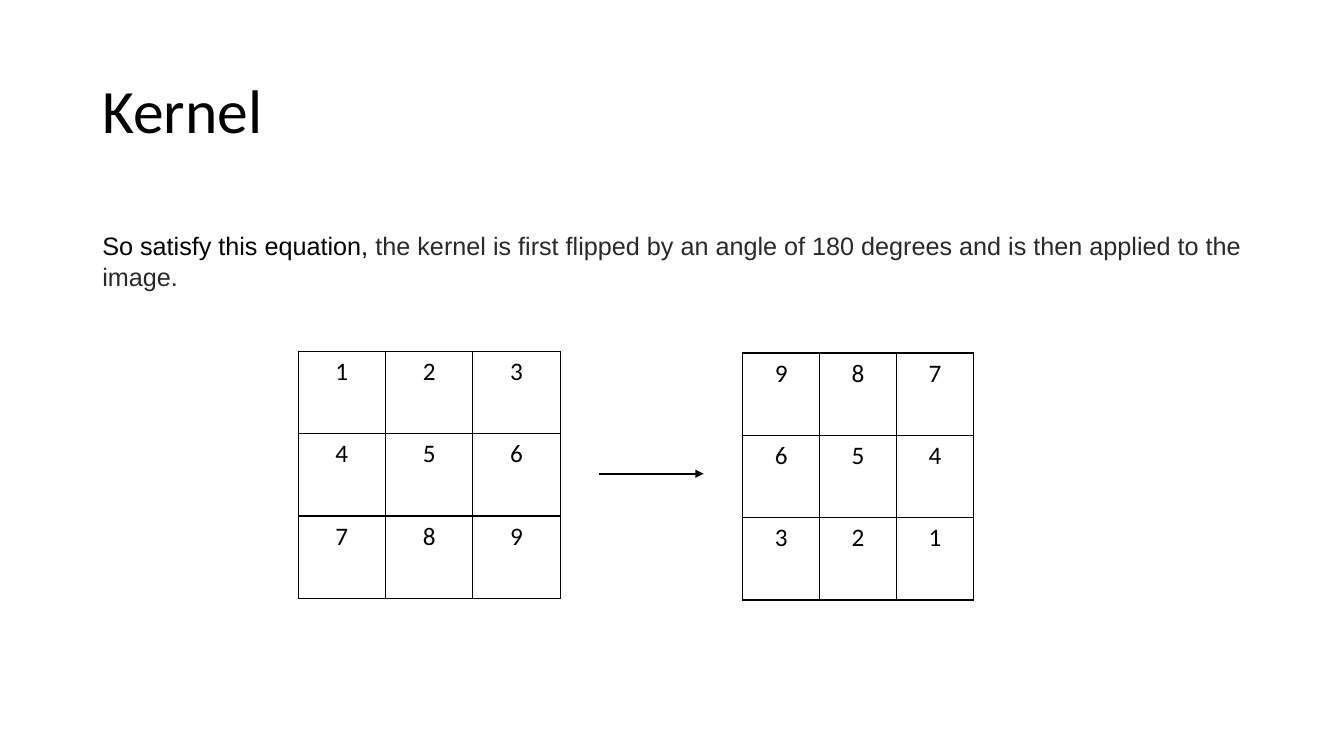
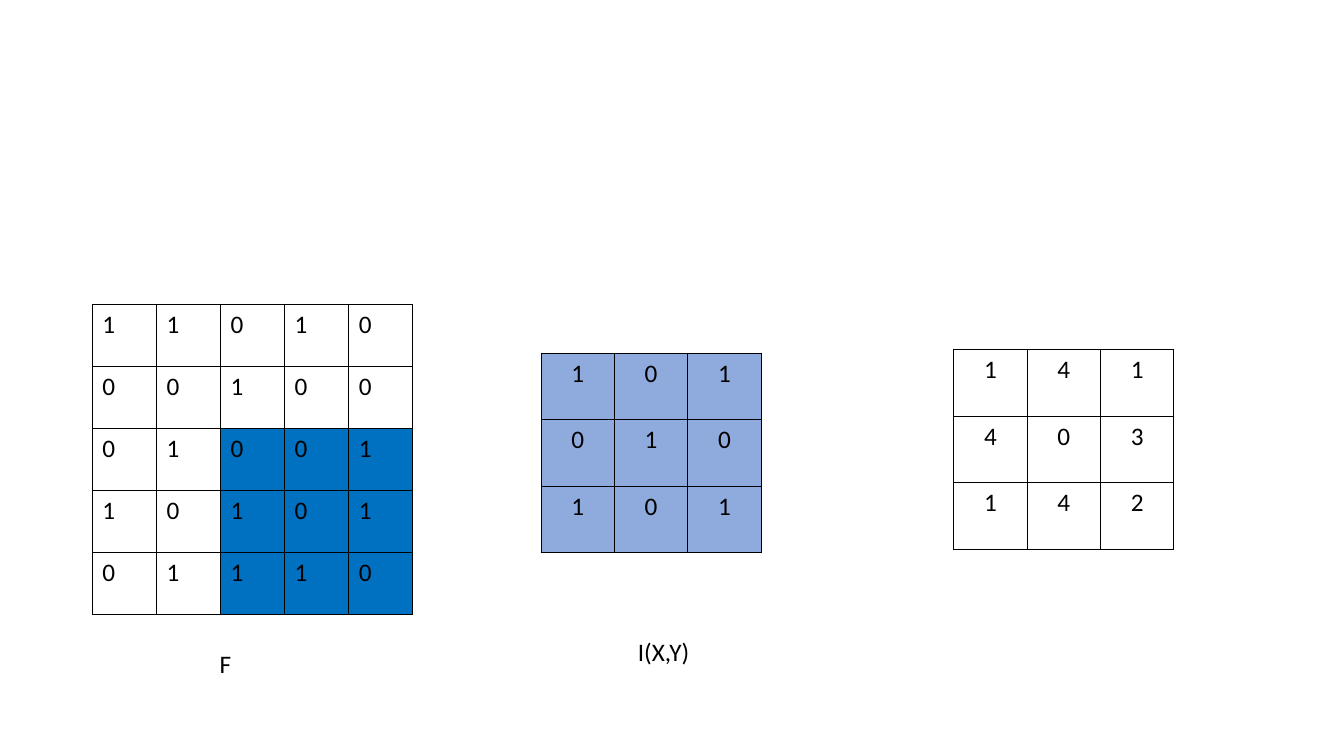
from dataclasses import dataclass

from lxml import etree
from pptx import Presentation
from pptx.dml.color import RGBColor
from pptx.enum.shapes import MSO_CONNECTOR
from pptx.enum.text import MSO_ANCHOR, MSO_AUTO_SIZE, PP_ALIGN
from pptx.oxml.ns import qn
from pptx.util import Pt

LEFT, CENTER = PP_ALIGN.LEFT, PP_ALIGN.CENTER
MIDDLE = MSO_ANCHOR.MIDDLE
NO_AUTOFIT = MSO_AUTO_SIZE.NONE
STRAIGHT = MSO_CONNECTOR.STRAIGHT
TITLE_ONLY, BLANK = 5, 6


@dataclass(frozen=True)
class Theme:
    ink: str = "000000"
    soft_ink: str = "292929"
    window: str = "0070C0"
    kernel: str = "8FAADC"
    font: str = "Calibri"
    prose_font: str = "Arial"
    title_size: float = 44
    text_size: float = 18
    border: float = 1
    arrow: float = 1.5


class Deck:
    def __init__(self, theme):
        self.theme = theme
        self.prs = Presentation()
        self.prs.slide_width, self.prs.slide_height = Pt(960), Pt(540)
        self.slide = None

    def new_slide(self, layout):
        self.slide = self.prs.slides.add_slide(self.prs.slide_layouts[layout])

    def style(self, paragraph, font=None, size=None, align=LEFT):
        paragraph.alignment = align
        paragraph.font.name = font or self.theme.font
        paragraph.font.size = Pt(size or self.theme.text_size)
        paragraph.font.color.rgb = RGBColor.from_string(self.theme.ink)

    def title(self, text):
        heading = self.slide.shapes.title
        heading.left, heading.top = Pt(66), Pt(28.8)
        heading.width, heading.height = Pt(828), Pt(104.4)
        frame = heading.text_frame
        frame.text = text
        frame.auto_size = NO_AUTOFIT
        frame.vertical_anchor = MIDDLE
        self.style(frame.paragraphs[0], size=self.theme.title_size)
        frame.paragraphs[0].line_spacing = 0.9

    def text(self, left, top, width, height, runs, font=None, wrap=True):
        """Add one paragraph; runs are (wording, colour) pairs."""
        box = self.slide.shapes.add_textbox(Pt(left), Pt(top), Pt(width), Pt(height))
        box.text_frame.word_wrap = wrap
        paragraph = box.text_frame.paragraphs[0]
        self.style(paragraph, font)
        for wording, colour in runs:
            run = paragraph.add_run()
            run.text = wording
            run.font.color.rgb = RGBColor.from_string(colour)

    def caption(self, left, top, width, wording):
        self.text(left, top, width, 28.8, [(wording, self.theme.ink)], wrap=False)

    def border(self, cell):
        properties = cell._tc.get_or_add_tcPr()
        for position, side in enumerate(("lnL", "lnR", "lnT", "lnB")):
            line = etree.Element(qn(f"a:{side}"), w=str(Pt(self.theme.border)))
            solid = etree.SubElement(line, qn("a:solidFill"))
            etree.SubElement(solid, qn("a:srgbClr"), val=self.theme.ink)
            properties.insert(position, line)

    def matrix(self, left, top, cell_width, cell_height, rows,
               align=CENTER, fill=None, fill_from=0):
        """Add a grid of digits, filled from row and column fill_from onwards."""
        count = len(rows)
        table = self.slide.shapes.add_table(
            count, count, Pt(left), Pt(top),
            Pt(cell_width * count), Pt(cell_height * count)).table
        table.first_row = table.horz_banding = False
        for column in table.columns:
            column.width = Pt(cell_width)
        for r, digits in enumerate(rows):
            table.rows[r].height = Pt(cell_height)
            for c, digit in enumerate(digits):
                cell = table.cell(r, c)
                cell.text = digit
                self.style(cell.text_frame.paragraphs[0], align=align)
                if fill and min(r, c) >= fill_from:
                    cell.fill.solid()
                    cell.fill.fore_color.rgb = RGBColor.from_string(fill)
                else:
                    cell.fill.background()
                self.border(cell)

    def arrow(self, start, end, y):
        arrow = self.slide.shapes.add_connector(STRAIGHT, Pt(start), Pt(y), Pt(end), Pt(y))
        arrow.line.color.rgb = RGBColor.from_string(self.theme.ink)
        arrow.line.width = Pt(self.theme.arrow)
        etree.SubElement(arrow.line._get_or_add_ln(), qn("a:tailEnd"), type="triangle")
        etree.SubElement(arrow._element.spPr, qn("a:effectLst"))


def kernel_slide(deck):
    theme = deck.theme
    deck.new_slide(TITLE_ONLY)
    deck.title("Kernel")
    deck.text(66, 161.3, 828, 51, [
        ("So satisfy this equation, ", theme.ink),
        ("the kernel is first flipped by an angle of 180 degrees "
         "and is then applied to the image.", theme.soft_ink),
    ], font=theme.prose_font)

    # Kernel and its half turn
    kernel = ["123", "456", "789"]
    flipped = [row[::-1] for row in reversed(kernel)]
    deck.matrix(213, 251, 62.4, 58.8, kernel)
    deck.matrix(530.6, 252.2, 54.9, 58.8, flipped)
    deck.arrow(427.7, 502.6, 338.4)


def convolution_slide(deck):
    theme = deck.theme
    deck.new_slide(BLANK)

    # Image with the last window marked
    deck.matrix(66, 217.4, 45.8, 44.3, ["11010", "00100", "01001", "10101", "01110"],
                align=LEFT, fill=theme.window, fill_from=2)
    deck.caption(149.8, 459.4, 23, "F")

    # Result
    deck.matrix(681.3, 249.8, 52.4, 47.5, ["141", "403", "142"])

    # Kernel
    deck.matrix(386.5, 252.3, 52.4, 47.5, ["101", "010", "101"], fill=theme.kernel)
    deck.caption(448.6, 451.2, 52, "I(X,Y)")


def main():
    deck = Deck(Theme())
    kernel_slide(deck)
    convolution_slide(deck)
    deck.prs.save("out.pptx")


if __name__ == "__main__":
    main()
